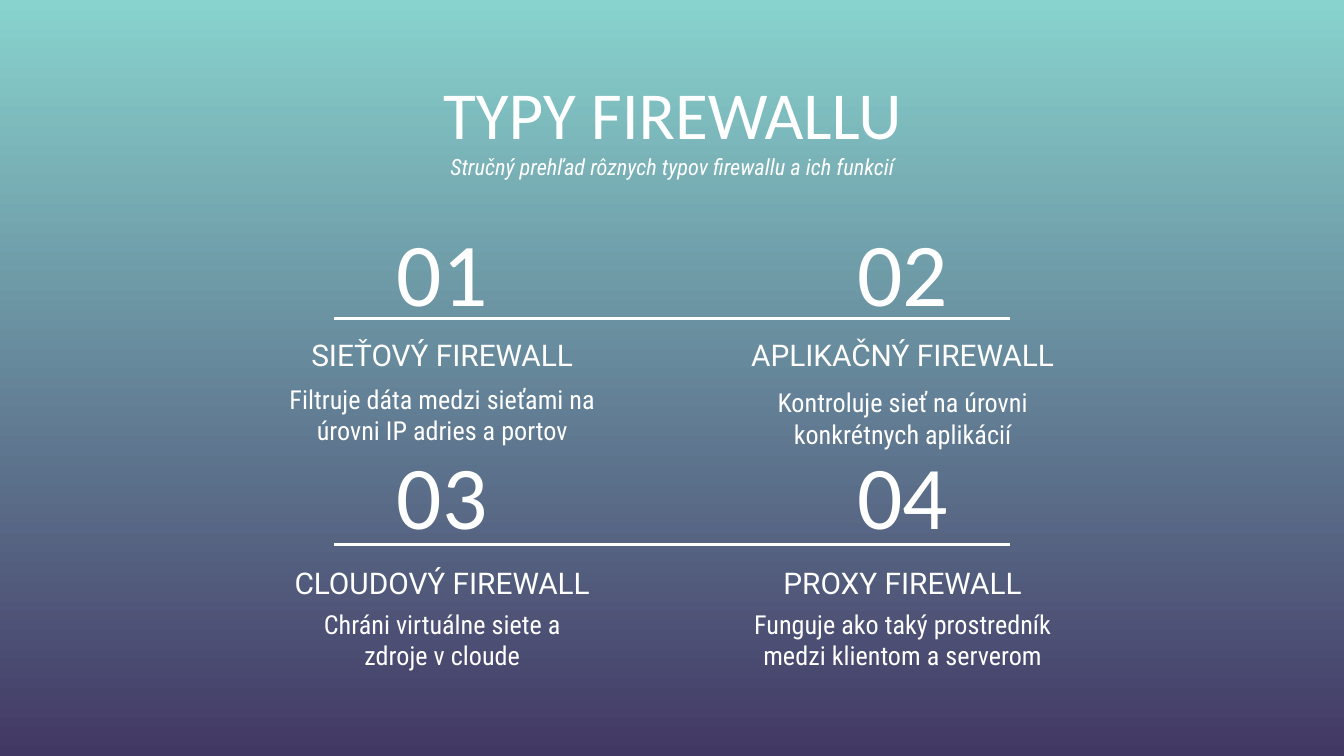
"""Build the slide about four types of firewall."""
from dataclasses import dataclass

from lxml import etree
from pptx import Presentation
from pptx import util as u
from pptx.dml.color import RGBColor
from pptx.enum import shapes, text
from pptx.oxml import ns


@dataclass(frozen=True)
class Theme:
    """Colours and text styles of the slide."""
    white: str = "FFFFFF"
    grad: tuple = ("88D3CE", "423864")
    title: tuple = ("Calibri", 36, False)
    sub: tuple = ("Roboto Condensed", 12, True)
    count: tuple = ("Calibri", 48, False)
    head: tuple = ("Roboto", 16, False)
    body: tuple = ("Roboto Condensed", 14, False)


THEME = Theme()
MID = (8.36, 17.06)
ROWS = (4.32, 8.53)
HEADS = (5.69, 10.01)
RULES = (6.02, 10.29)
CARDS = [
    ("SIEŤOVÝ FIREWALL", ["Filtruje dáta medzi sieťami na úrovni IP adries a portov"], 6.99, 6.3),
    ("APLIKAČNÝ FIREWALL", ["Kontroluje sieť na úrovni konkrétnych aplikácií"], 7.06, 5.28),
    ("CLOUDOVÝ FIREWALL", ["Chráni virtuálne siete a", "zdroje v cloude"], 11.25, 5.28),
    ("PROXY FIREWALL", ["Funguje ako taký prostredník medzi klientom a serverom"], 11.25, 6.32),
]


def apply(item, vals):
    """Set each attribute named in a dict."""
    for key, val in vals.items():
        setattr(item, key, val)


def style(font, look):
    """Give a font its face, size, slant and colour."""
    name, size, slant = look
    apply(font, dict(name=name, size=u.Pt(size), italic=slant, bold=False))
    font.color.rgb = RGBColor.from_string(THEME.white)


def place(shape, mid, top, wide, high, anchor):
    """Centre a text shape on a column and set its frame."""
    apply(shape, dict(left=u.Cm(mid - wide / 2), top=u.Cm(top),
                      width=u.Cm(wide), height=u.Cm(high)))
    edges = ("left", "right", "top", "bottom")
    frame = shape.text_frame
    apply(frame, {f"margin_{edge}": u.Cm(0.25) for edge in edges})
    apply(frame, dict(word_wrap=True, vertical_anchor=anchor,
                      auto_size=text.MSO_AUTO_SIZE.NONE))


def write(shape, lines, look):
    """Fill a shape with centred, unbulleted paragraphs."""
    frame = shape.text_frame
    for num, line in enumerate(lines):
        para = frame.add_paragraph() if num else frame.paragraphs[0]
        props = para._p.get_or_add_pPr()
        apply_indent = {"marL": "0", "indent": "0"}
        for key, val in apply_indent.items():
            props.set(key, val)
        etree.SubElement(props, ns.qn("a:buNone"))
        apply(para, dict(alignment=text.PP_ALIGN.CENTER, space_before=u.Pt(0)))
        run = para.add_run()
        run.text = line
        style(run.font, look)


def add_box(slide, line, look, mid, top, wide, anchor):
    """Add a one-line text box."""
    box = slide.shapes.add_textbox(0, 0, 0, 0)
    place(box, mid, top, wide, 1.6, anchor)
    write(box, [line], look)


def add_rule(slide, top):
    """Add a horizontal white line."""
    rule = slide.shapes.add_connector(shapes.MSO_CONNECTOR.STRAIGHT,
                                      u.Cm(6.32), u.Cm(top), u.Cm(19.08), u.Cm(top))
    rule.line.width = u.Pt(1.5)
    rule.line.color.rgb = RGBColor.from_string(THEME.white)
    etree.SubElement(rule._element.spPr, ns.qn("a:effectLst"))


def add_title(slide):
    """Fill the title with its heading and subheading."""
    title = slide.shapes.title
    place(title, 12.71, 1.12, 19.18, 2.62, text.MSO_ANCHOR.TOP)
    write(title, ["TYPY FIREWALLU"], THEME.title)
    para = title.text_frame.paragraphs[0]
    para.add_line_break()
    run = para.add_run()
    run.text = "Stručný prehľad rôznych typov firewallu a ich funkcií"
    style(run.font, THEME.sub)


def add_card(slide, num, card):
    """Add one numbered firewall type to the grid."""
    head, lines, top, wide = card
    row, col = divmod(num, 2)
    add_box(slide, f"{num + 1:02}", THEME.count, MID[col], ROWS[row], 4.88,
            text.MSO_ANCHOR.MIDDLE)
    add_box(slide, head, THEME.head, MID[col], HEADS[row], 7.32,
            text.MSO_ANCHOR.BOTTOM)
    body = slide.placeholders[num + 1]
    place(body, MID[col], top, wide, 1.02, text.MSO_ANCHOR.TOP)
    write(body, lines, THEME.body)


def paint(slide):
    """Give the slide a vertical gradient."""
    fill = slide.background.fill
    fill.gradient()
    fill.gradient_angle = 270
    for stop, shade in zip(fill.gradient_stops, THEME.grad):
        stop.color.rgb = RGBColor.from_string(shade)


def main():
    """Build and save the deck."""
    deck = Presentation()
    apply(deck, dict(slide_width=u.Cm(25.4), slide_height=u.Cm(14.29)))
    slide = deck.slides.add_slide(deck.slide_layouts.get_by_name("Comparison"))
    paint(slide)
    add_title(slide)
    for num, card in enumerate(CARDS):
        add_card(slide, num, card)
    for top in RULES:
        add_rule(slide, top)
    deck.save("out.pptx")


if __name__ == "__main__":
    main()
